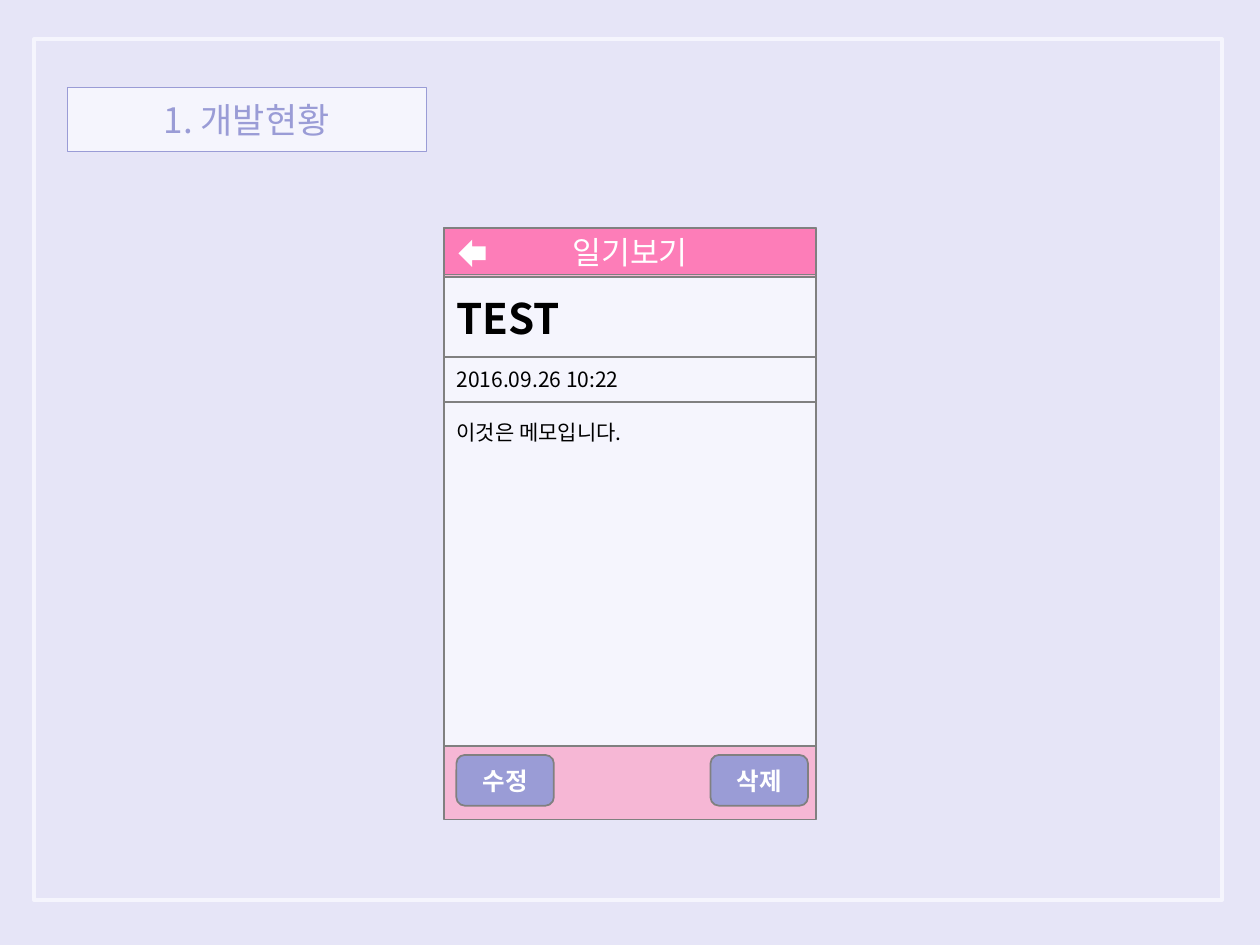
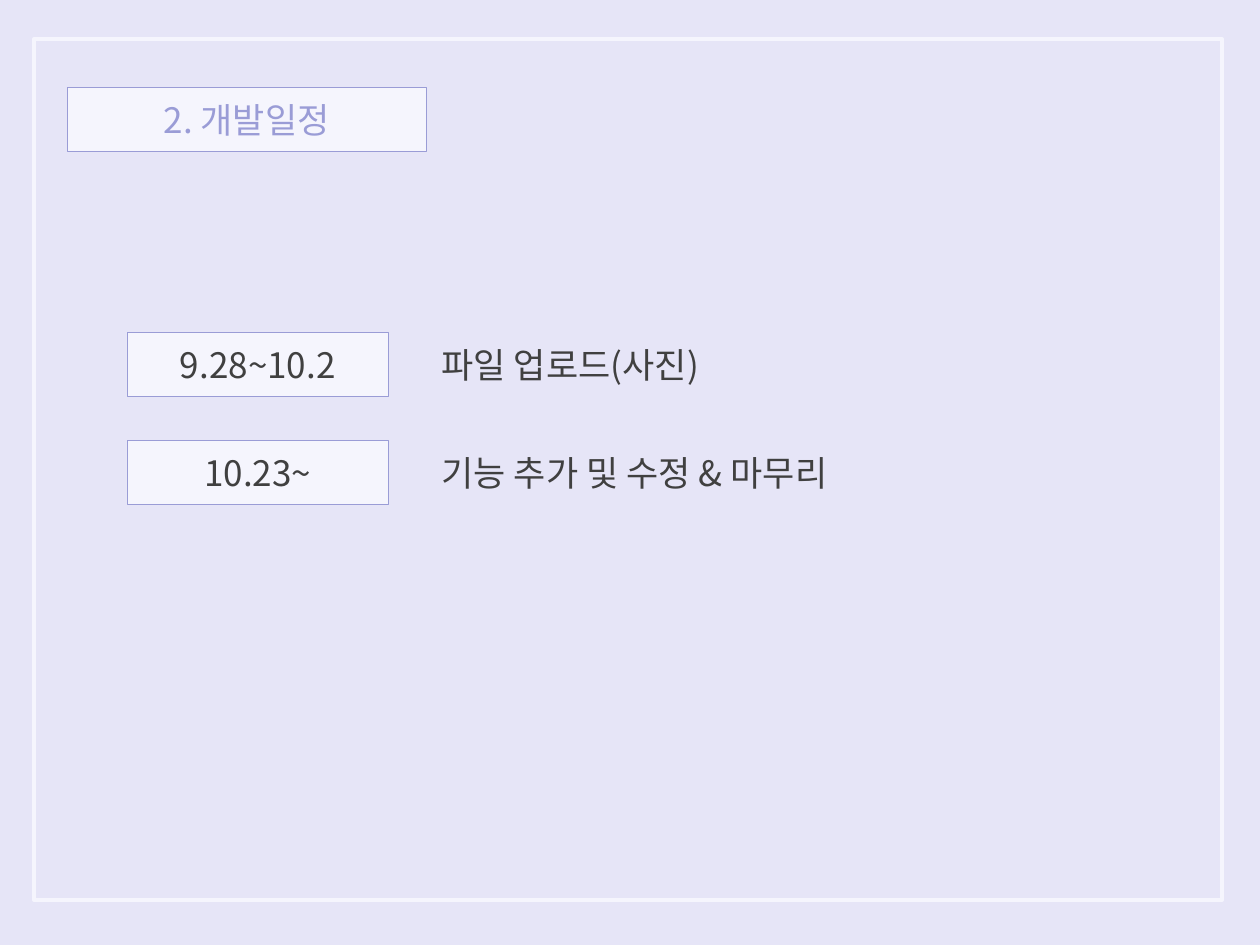
from dataclasses import dataclass
from pptx import Presentation
from pptx.dml.color import RGBColor
from pptx.enum import shapes, text
from pptx.oxml import ns
from pptx.util import Pt
from lxml import etree


@dataclass(frozen=True)
class Theme:
    font: str = "Noto Sans CJK KR"
    back: str = "E6E5F7"
    paper: str = "F5F5FD"
    accent: str = "9A9CD6"
    ink: str = "404040"
    black: str = "000000"
    white: str = "FFFFFF"
    edge: str = "808080"
    header: str = "FD7DB8"
    phone: str = "F6B7D5"
    heading_size: float = 20
    header_size: float = 18
    name_size: float = 24
    memo_size: float = 12
    button_size: float = 14


T = Theme()
KIND = shapes.MSO_SHAPE
LEFT, CENTER = text.PP_ALIGN.LEFT, text.PP_ALIGN.CENTER
MIDDLE, TOP = text.MSO_ANCHOR.MIDDLE, text.MSO_ANCHOR.TOP

STATUS_TITLE = "1. 개발현황"
PLAN_TITLE = "2. 개발일정"
SCREEN_TITLE = "일기보기"
PANELS = [
    ("TEST", 158.4, 46.6, T.name_size, True, MIDDLE),
    ("2016.09.26 10:22", 204, 25.7, T.memo_size, False, MIDDLE),
    ("이것은 메모입니다.", 229.7, 196.4, T.memo_size, False, TOP),
]
BUTTONS = ["수정", "삭제"]
SCHEDULE = [
    ("9.28~10.2", "파일 업로드(사진)"),
    ("10.23~", "기능 추가 및 수정 & 마무리"),
]

FRAME = (19.4, 22.4, 679, 491.8)
TITLE = (38.4, 49.8, 205.2, 36.7)
PHONE = (253.8, 130.4, 212.4, 338)
HEADER_H = 26.6
ARROW = (262, 137, 15.6, 15.6)
BUTTON = (260.8, 431.4, 55.7, 29)
BUTTON_STEP = 145.2
ROW_TOP, ROW_STEP, ROW_H = 189.8, 61.9, 36.7
DATE_X, DATE_W = 72.6, 149.5
TASK_X, TASK_W = 245.3, 383.8


def rgb(value):
    return RGBColor.from_string(value)


def paint(sp, fill, line, width):
    if fill:
        sp.fill.solid()
        sp.fill.fore_color.rgb = rgb(fill)
    else:
        sp.fill.background()
    if line:
        sp.line.color.rgb = rgb(line)
        sp.line.width = Pt(width)
    else:
        sp.line.fill.background()


def write(sp, words, size, color, align=CENTER, bold=False, anchor=MIDDLE):
    tf = sp.text_frame
    tf.word_wrap = True
    tf.auto_size = text.MSO_AUTO_SIZE.NONE
    tf.vertical_anchor = anchor
    if anchor == TOP:
        tf.margin_top = Pt(10)
    p = tf.paragraphs[0]
    p.alignment = align
    r = p.add_run()
    r.text = words
    f = r.font
    f.size, f.bold, f.name = Pt(size), bold, T.font
    f.color.rgb = rgb(color)
    ea = etree.SubElement(r._r.get_or_add_rPr(), ns.qn("a:ea"))
    ea.set("typeface", T.font)


def add_box(parent, box, fill, line=None, width=1, kind=KIND.RECTANGLE):
    sp = parent.shapes.add_shape(kind, *map(Pt, box))
    sp.shadow.inherit = False
    paint(sp, fill, line, width)
    return sp


def add_slide(prs, title):
    s = prs.slides.add_slide(prs.slide_layouts[5])
    s.background.fill.solid()
    s.background.fill.fore_color.rgb = rgb(T.back)
    add_box(s, FRAME, None, T.paper, 2.25)
    sp = s.shapes.title
    sp.left, sp.top, sp.width, sp.height = map(Pt, TITLE)
    paint(sp, T.paper, T.accent, 0.25)
    write(sp, title, T.heading_size, T.accent)
    return s


def add_status(prs):
    s = add_slide(prs, STATUS_TITLE)
    phone = s.shapes.add_group_shape()
    x, y, w, h = PHONE
    add_box(phone, PHONE, T.phone, T.edge)
    sp = add_box(phone, (x, y, w, HEADER_H), T.header, T.edge)
    write(sp, SCREEN_TITLE, T.header_size, T.white)
    for words, top, height, size, bold, anchor in PANELS:
        sp = add_box(phone, (x, top, w, height), T.paper, T.edge)
        write(sp, words, size, T.black, LEFT, bold, anchor)
    bx, by, bw, bh = BUTTON
    for i, words in enumerate(BUTTONS):
        box = (bx + i * BUTTON_STEP, by, bw, bh)
        sp = add_box(phone, box, T.accent, T.edge, kind=KIND.ROUNDED_RECTANGLE)
        write(sp, words, T.button_size, T.white, bold=True)
    add_box(phone, ARROW, T.white, kind=KIND.LEFT_ARROW)


def add_plan(prs):
    s = add_slide(prs, PLAN_TITLE)
    for i, (date, task) in enumerate(SCHEDULE):
        top = ROW_TOP + i * ROW_STEP
        sp = add_box(s, (DATE_X, top, DATE_W, ROW_H), T.paper, T.accent, 0.25)
        write(sp, date, T.heading_size, T.ink)
        sp = s.shapes.add_textbox(Pt(TASK_X), Pt(top), Pt(TASK_W), Pt(ROW_H))
        write(sp, task, T.heading_size, T.ink, LEFT)


def main():
    prs = Presentation()
    prs.slide_width, prs.slide_height = Pt(720), Pt(540)
    add_status(prs)
    add_plan(prs)
    prs.save("out.pptx")


if __name__ == "__main__":
    main()
